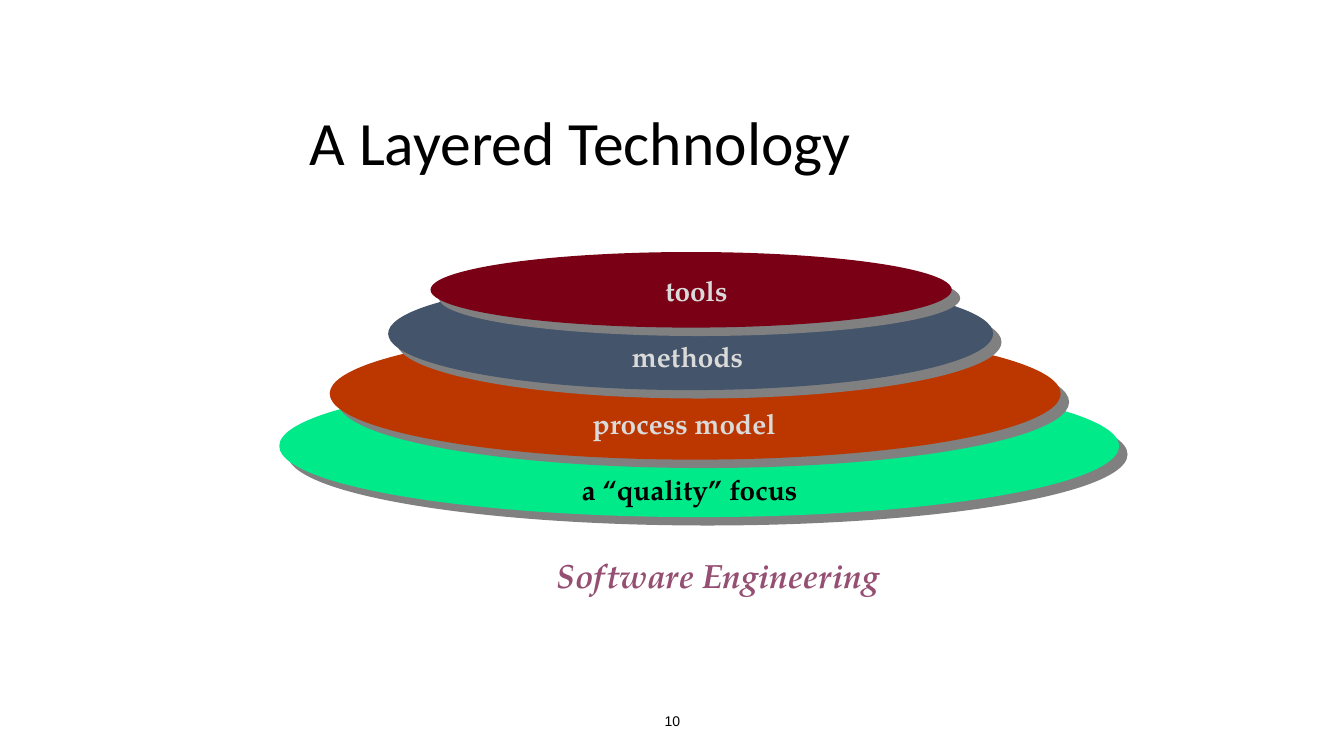
import pptx
import pptx.util
import pptx.dml.color
import pptx.enum.shapes
import pptx.enum.text
import pptx.oxml
import pptx.oxml.ns

PX = 9144
SLIDE_SIZE = (1333, 750)

THEME = {
    "title_font": "Calibri", "label_font": "TeX Gyre Pagella", "number_font": "Arial",
    "title_size": 44, "caption_size": 24, "label_size": 20, "number_size": 10,
    "ink": "000000", "pale": "DADADA", "caption": "954F72", "shadow": "808080",
    "quality": "01EA89", "process": "BC3700", "methods": "44546A", "tools": "790015",
}

TITLE = ("A Layered Technology", (300, 108, 593, 72))
CAPTION = ("Software Engineering", (542, 550, 366, 46))
PAGE_NUMBER = ("10", (442, 695, 450, 40))

LAYERS = [
    ("a “quality” focus", "quality", "ink", (277, 372, 833, 141), (567, 244)),
    ("process model", "process", "pale", (327, 325, 725, 131), (578, 218)),
    ("methods", "methods", "pale", (385, 275, 600, 112), (617, 137)),
    ("tools", "tools", "pale", (427, 250, 517, 75), (650, 87)),
]
LABEL_BOTTOM_TOP, LABEL_STEP, LABEL_HEIGHT = 464, 66, 43
SHADOW_DISTANCE = pptx.util.Pt(8.5)


def emu(box):
    return [length * PX for length in box]


def rgb(name):
    return pptx.dml.color.RGBColor.from_string(THEME[name])


def add_text(slide, content, box, role, color, bold=False, italic=False,
             margins=(10, 5), spacing=None, centred=False, font="label_font"):
    frame = slide.shapes.add_textbox(*emu(box)).text_frame
    frame.word_wrap = True
    frame.margin_left = frame.margin_right = margins[0] * PX
    frame.margin_top = frame.margin_bottom = margins[1] * PX
    frame.text = content
    paragraph = frame.paragraphs[0]
    if spacing:
        paragraph.line_spacing = spacing
    if centred:
        frame.vertical_anchor = pptx.enum.text.MSO_ANCHOR.MIDDLE
        paragraph.alignment = pptx.enum.text.PP_ALIGN.CENTER
    style = paragraph.runs[0].font
    style.name = THEME[font]
    style.size = pptx.util.Pt(THEME[role])
    style.bold, style.italic = bold, italic
    style.color.rgb = rgb(color)


def add_layer(slide, box, color):
    layer = slide.shapes.add_shape(pptx.enum.shapes.MSO_SHAPE.OVAL, *emu(box))
    layer.fill.solid()
    layer.fill.fore_color.rgb = rgb(color)
    layer.line.fill.background()
    layer.shadow.inherit = False
    effects = layer.element.spPr.find(pptx.oxml.ns.qn("a:effectLst"))
    effects.append(pptx.oxml.parse_xml(
        f'<a:outerShdw {pptx.oxml.ns.nsdecls("a")} blurRad="0" dist="{SHADOW_DISTANCE}" '
        f'dir="2700000" algn="ctr" rotWithShape="0">'
        f'<a:srgbClr val="{THEME["shadow"]}"/></a:outerShdw>'))


def main():
    deck = pptx.Presentation()
    deck.slide_width, deck.slide_height = emu(SLIDE_SIZE)
    slide = deck.slides.add_slide(deck.slide_layouts[6])

    add_text(slide, *PAGE_NUMBER, "number_size", "ink", centred=True, font="number_font")
    add_text(slide, *TITLE, "title_size", "ink", margins=(7, 3), spacing=0.9,
             font="title_font")
    add_text(slide, *CAPTION, "caption_size", "caption", bold=True, italic=True,
             spacing=0.9)

    for _, fill, _, box, _ in LAYERS:
        add_layer(slide, box, fill)
    for level, (label, _, ink, _, (left, width)) in enumerate(LAYERS):
        top = LABEL_BOTTOM_TOP - level * LABEL_STEP
        add_text(slide, label, (left, top, width, LABEL_HEIGHT), "label_size", ink,
                 bold=True)

    deck.save("out.pptx")


if __name__ == "__main__":
    main()
